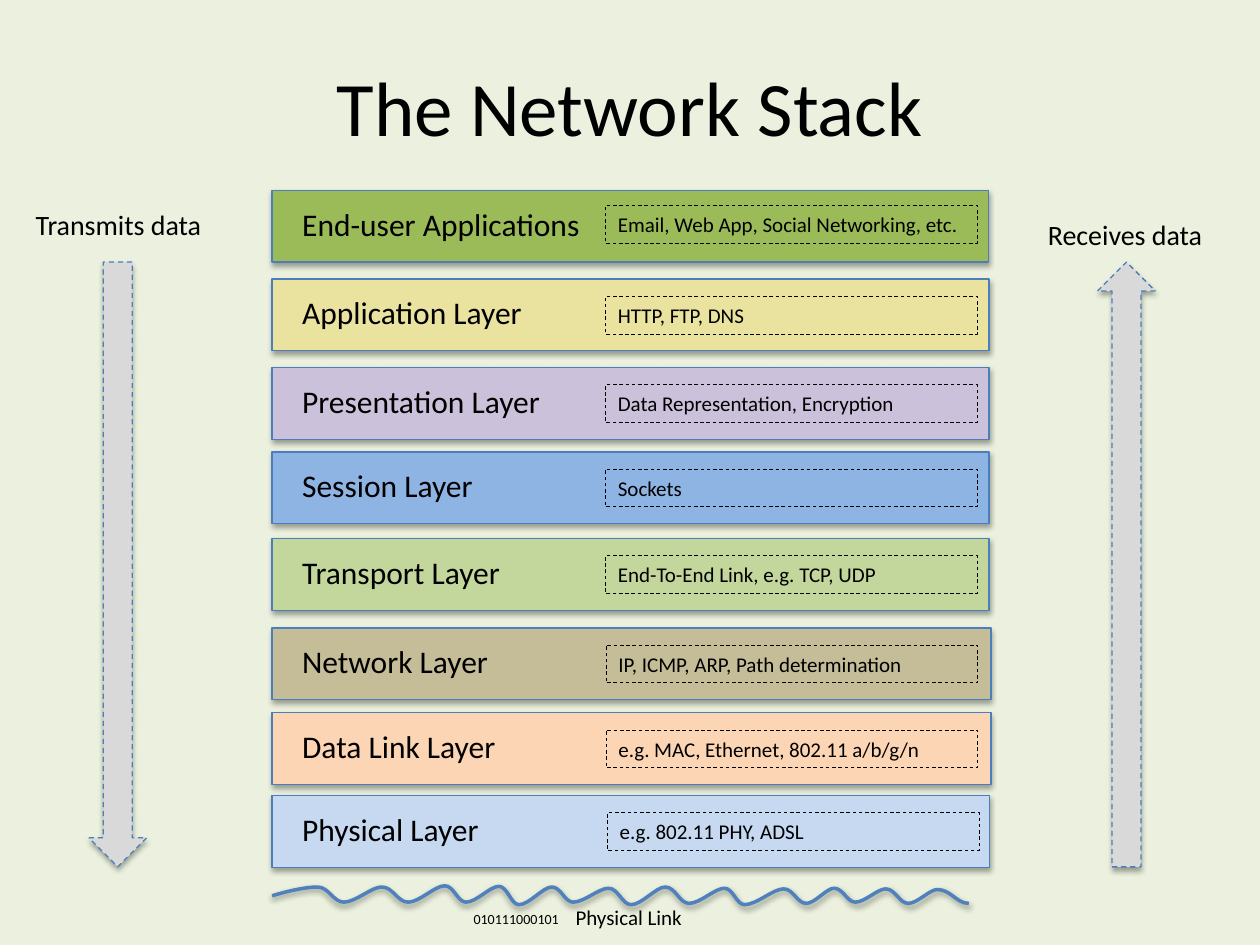
from dataclasses import dataclass

from lxml.etree import Element, SubElement
from pptx import Presentation
from pptx.dml.color import RGBColor
from pptx.enum.dml import MSO_LINE as Dash
from pptx.enum.shapes import MSO_SHAPE as Geo
from pptx.enum.text import MSO_ANCHOR as Anchor, MSO_AUTO_SIZE as Fit, PP_ALIGN as Align
from pptx.oxml.ns import qn
from pptx.util import Emu, Inches, Pt

# Grid of 100 columns by 75 rows, in square cells
WIDE, HIGH = Inches(10), Inches(7.5)
CELL = WIDE / 100
FONT = "Calibri"
COLOR = {
    "back": "EBF1DE", "text": "000000", "edge": "4B7EBC", "wave": "4F81BD",
    "arrow": "D9D9D9", "user": "9BBB59", "app": "EAE29F", "show": "CCC1DA",
    "session": "8EB4E3", "move": "C3D69B", "net": "C4BD97", "link": "FCD5B5",
    "phys": "C6D9F1",
}


@dataclass
class Box:
    col: float
    row: float
    cols: float
    rows: float

    def emu(self) -> list[Emu]:
        return [Emu(round(n * CELL)) for n in (self.col, self.row, self.cols, self.rows)]


@dataclass
class Layer:
    name: str
    note: str
    fill: str
    row: float
    cols: float = 56.9
    span: float = 24.15  # columns of the name
    left: float = 48.05  # column of the note
    drop: float = 1.37  # rows from the bar's top to the note
    solid: bool = False  # name and note are filled too


@dataclass
class Label:
    text: str
    box: Box
    size: int
    align: Align = Align.CENTER


LAYERS = [
    Layer("End-user Applications", "Email, Web App, Social Networking, etc.", "user",
          15.1, 56.85, drop=1.2, solid=True),
    Layer("Application Layer", "HTTP, FTP, DNS", "app", 22.15, solid=True),
    Layer("Presentation Layer", "Data Representation, Encryption", "show", 29.17, solid=True),
    Layer("Session Layer", "Sockets", "session", 35.87),
    Layer("Transport Layer", "End-To-End Link, e.g. TCP, UDP", "move", 42.74),
    Layer("Network Layer", "IP, ICMP, ARP, Path determination", "net", 49.84, 57.05, left=48.1),
    Layer("Data Link Layer", "e.g. MAC, Ethernet, 802.11 a/b/g/n", "link", 56.58, 57.05, 27, 48.1),
    Layer("Physical Layer", "e.g. 802.11 PHY, ADSL", "phys", 63.14, 56.95, 26.9, 48.2),
]
TITLE = Label("The Network Stack", Box(5, 3, 90, 10.8), 44)
LABELS = [
    Label("Transmits data", Box(1.3, 16, 16.2, 3.7), 16),
    Label("Receives data", Box(81.45, 16.8, 15.7, 3.7), 16),
    Label("Physical Link", Box(38.3, 71.3, 23.2, 3), 12),
    Label("010111000101", Box(36.6, 71.8, 9.2, 2.4), 8, Align.LEFT),
]
# Turning points of the wave: start, crest, trough, crest, ...
TURNS = [
    (21.6, 71.1), (25.2, 70.4), (27.3, 71.6), (30.3, 70.4), (32.4, 71.6),
    (35.3, 70.3), (37, 71.6), (39.6, 70.35), (41.2, 71.8), (43.8, 70.4),
    (45.5, 71.6), (48.3, 70.5), (50.1, 71.8), (52.8, 70.4), (54.7, 71.7),
    (57.5, 70.5), (59.1, 71.8), (62.2, 70.55), (64, 71.7), (66.2, 70.5),
    (67.9, 71.6), (70.3, 70.55), (72.1, 71.7), (74.4, 70.6), (76.9, 71.7),
]
RISE, FALL = (0.31, 0.73), (0.43, 0.6)  # shares of a half-wave to its handles


def rgb(key: str) -> RGBColor:
    return RGBColor.from_string(COLOR[key])


def cast(shape, alpha: int) -> None:
    """Give the shape a soft shadow straight below it."""
    shape.shadow.inherit = False
    glow = SubElement(
        shape._element.spPr.find(qn("a:effectLst")), qn("a:outerShdw"),
        blurRad=str(Pt(3.1)), dist=str(Pt(1.8)), dir="5400000", rotWithShape="0")
    tone = SubElement(glow, qn("a:srgbClr"), val=COLOR["text"])
    SubElement(tone, qn("a:alpha"), val=str(alpha * 1000))


def put(shape, text: str, size: int, align: Align) -> None:
    frame = shape.text_frame
    frame.word_wrap, frame.auto_size = True, Fit.SHAPE_TO_FIT_TEXT
    frame.vertical_anchor = Anchor.TOP
    para = frame.paragraphs[0]
    para.text, para.alignment = text, align
    para.font.name, para.font.size = FONT, Pt(size)
    para.font.color.rgb = rgb("text")


def write(shapes, item: Label):
    shape = shapes.add_textbox(*item.box.emu())
    put(shape, item.text, item.size, item.align)
    return shape


def draw(shapes, geo: Geo, box: Box, fill: str = "", edge: str = "", width: float = 0, dash: bool = False):
    shape = shapes.add_shape(geo, *box.emu())
    shape.shadow.inherit = False
    if fill:
        shape.fill.solid()
        shape.fill.fore_color.rgb = rgb(fill)
    else:
        shape.fill.background()
    if edge:
        shape.line.color.rgb, shape.line.width = rgb(edge), Pt(width)
    else:
        shape.line.fill.background()
    if dash:
        shape.line.dash_style = Dash.DASH
    return shape


def stack(shapes, layer: Layer) -> None:
    group = shapes.add_group_shape().shapes
    fill = layer.fill if layer.solid else ""
    bar = draw(group, Geo.RECTANGLE, Box(21.6, layer.row, layer.cols, 5.7), layer.fill, "edge", 0.75)
    cast(bar, 35)
    name = Label(layer.name, Box(23, layer.row + 0.65, layer.span, 4), 18, Align.LEFT)
    if layer.solid:
        put(draw(group, Geo.RECTANGLE, name.box, fill), name.text, name.size, name.align)
    else:
        write(group, name)
    spot = Box(layer.left, layer.row + layer.drop, 29.5, 3)
    put(draw(group, Geo.RECTANGLE, spot, fill, "text", 0.5, True), layer.note, 12, Align.LEFT)


def arrow(shapes, col: float, turn: int) -> None:
    shape = draw(shapes, Geo.DOWN_ARROW, Box(col, 20.8, 4.6, 48), "arrow", "edge", 0.75, True)
    shape.rotation = turn
    cast(shape, 35)


def wave(shapes) -> None:
    dots = [(round(x * CELL), round(y * CELL)) for x, y in TURNS]
    pen = shapes.build_freeform(*dots[0])
    pen.add_line_segments(dots[1:], close=False)
    shape = pen.convert_to_shape()

    # Turn each straight step into a curve with level handles
    left, top = shape.left, shape.top
    steps = list(shape._element.iter(qn("a:lnTo")))
    for n, (step, (x, y), (u, v)) in enumerate(zip(steps, dots, dots[1:])):
        near, far = FALL if n % 2 else RISE
        lead = y if n else (y + v) / 2
        curve = Element(qn("a:cubicBezTo"))
        for px, py in ((x + (u - x) * near, lead), (x + (u - x) * far, v), (u, v)):
            SubElement(curve, qn("a:pt"), x=str(round(px - left)), y=str(round(py - top)))
        step.getparent().replace(step, curve)
    shape.fill.background()
    shape.line.color.rgb, shape.line.width = rgb("wave"), Pt(2)
    cast(shape, 38)


def main() -> None:
    deck = Presentation()
    deck.slide_width, deck.slide_height = WIDE, HIGH
    slide = deck.slides.add_slide(deck.slide_layouts[6])
    slide.background.fill.solid()
    slide.background.fill.fore_color.rgb = rgb("back")
    shapes = slide.shapes

    # Title, centred in its box
    frame = write(shapes, TITLE).text_frame
    frame.auto_size, frame.vertical_anchor = Fit.NONE, Anchor.MIDDLE

    # Layers of the stack, from the bottom up
    for layer in reversed(LAYERS):
        stack(shapes, layer)

    # Data flow down and up
    arrow(shapes, 7.05, 0)
    arrow(shapes, 87.1, 180)

    # Wire below, and captions
    wave(shapes)
    for item in LABELS:
        write(shapes, item)
    deck.save("out.pptx")


if __name__ == "__main__":
    main()
